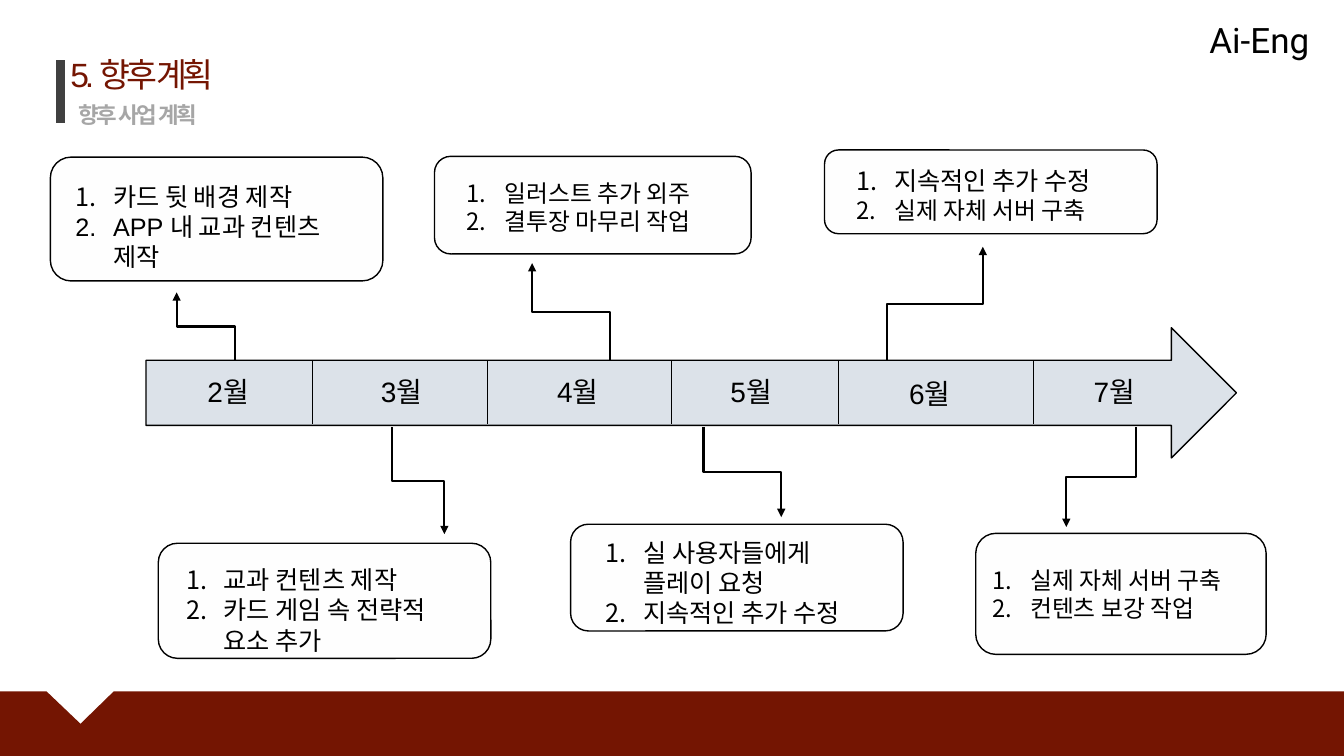
from dataclasses import dataclass

from lxml import etree
from pptx import Presentation
from pptx import util as u
from pptx.dml import color as dml
from pptx.enum import shapes, text
from pptx.oxml import ns

COLORS = {
    "maroon": "741502",
    "black": "000000",
    "bar": "404040",
    "subtitle": "A6A6A6",
    "timeline": "8497B0",
    "card": "F2F2F2",
}
SLIDE_WIDTH, SLIDE_HEIGHT = 33.87, 19.05
SHAFT_TOP, SHAFT_BOTTOM = 9.09, 10.69


@dataclass(frozen=True)
class Area:
    left: float
    top: float
    width: float
    height: float

    def emu(self) -> tuple:
        return tuple(u.Cm(v) for v in (self.left, self.top, self.width, self.height))


@dataclass(frozen=True)
class Line:
    words: str
    size: float
    color: str = "black"
    font: str = "Arial"
    bold: bool = False
    tracking: float = 0
    spacing: float | None = None
    align: text.PP_ALIGN | None = None
    numbered: bool = False


@dataclass(frozen=True)
class Milestone:
    month: str
    month_left: float
    month_top: float
    start: tuple[float, float]
    end: tuple[float, float]
    card: Area
    list_area: Area
    tasks: tuple[tuple[str, float], ...]


MILESTONES = (
    Milestone("2월", 4.98, 9.32, (5.92, 9.09), (4.45, 7.37),
              Area(1.27, 3.96, 8.38, 3.12), Area(1.65, 4.44, 7.11, 2.41),
              (("카드 뒷 배경 제작", 18), ("APP 내 교과 컨텐츠 제작", 18))),
    Milestone("3월", 9.35, 9.32, (9.88, 10.77), (11.2, 13.46),
              Area(3.99, 13.69, 8.38, 2.9), Area(4.44, 14.1, 7.11, 2.41),
              (("교과 컨텐츠 제작", 18), ("카드 게임 속 전략적 요소 추가", 18))),
    Milestone("4월", 13.79, 9.32, (15.37, 9.09), (13.41, 6.63),
              Area(10.95, 3.94, 7.98, 2.46), Area(11.51, 4.37, 6.78, 1.6),
              (("일러스트 추가 외주", 17), ("결투장 마무리 작업", 17))),
    Milestone("5월", 18.16, 9.32, (17.73, 10.77), (19.69, 13.03),
              Area(14.38, 13.21, 8.38, 2.69), Area(15.01, 13.41, 7.11, 2.41),
              (("실 사용자들에게 플레이 요청", 18), ("지속적인 추가 수정", 18))),
    Milestone("6월", 22.66, 9.37, (22.35, 9.09), (24.77, 6.22),
              Area(20.78, 3.78, 8.38, 2.11), Area(21.34, 4.04, 7.11, 1.75),
              (("지속적인 추가 수정", 18), ("실제 자체 서버 구축", 17))),
    Milestone("7월", 27.31, 9.32, (28.63, 10.77), (26.87, 13.28),
              Area(24.59, 13.44, 7.32, 3.05), Area(24.76, 14.12, 7.32, 1.7),
              (("실제 자체 서버 구축", 17), ("컨텐츠 보강 작업", 17))),
)
DIVIDERS = (7.87, 12.29, 16.92, 21.13, 26.04)


def rgb(name: str) -> dml.RGBColor:
    return dml.RGBColor.from_string(COLORS[name])


def add_text(page, area: Area, lines: list[Line], heading: bool = False) -> None:
    frame = page.shapes.add_textbox(*area.emu()).text_frame
    frame.word_wrap = True
    if heading:
        frame.margin_top = frame.margin_bottom = 0
        frame.vertical_anchor = text.MSO_ANCHOR.MIDDLE
    for index, line in enumerate(lines):
        para = frame.paragraphs[0] if index == 0 else frame.add_paragraph()
        para.text = line.words
        para.alignment = line.align
        para.line_spacing = line.spacing
        if line.numbered:
            props = para._p.get_or_add_pPr()
            indent = u.Cm(0.95)
            props.set("marL", str(indent))
            props.set("indent", str(-indent))
            etree.SubElement(props, ns.qn("a:buFont"), typeface="+mj-lt")
            etree.SubElement(props, ns.qn("a:buAutoNum"), type="arabicPeriod")
        font = para.font
        font.name = line.font
        font.size = u.Pt(line.size)
        font.bold = line.bold
        font.color.rgb = rgb(line.color)
        if line.tracking:
            defaults = para._p.pPr.find(ns.qn("a:defRPr"))
            defaults.set("spc", str(round(line.tracking * 100)))
            for span in para.runs:
                span._r.get_or_add_rPr().set("spc", defaults.get("spc"))


def add_panel(page, kind, area: Area, fill: str, opacity: int) -> None:
    panel = page.shapes.add_shape(kind, *area.emu())
    panel.shadow.inherit = False
    panel.fill.solid()
    panel.fill.fore_color.rgb = rgb(fill)
    tint = panel._element.spPr.find(ns.qn("a:solidFill"))[0]
    etree.SubElement(tint, ns.qn("a:alpha"), val=str(opacity * 1000))
    panel.line.color.rgb = rgb("black")
    panel.line.width = u.Pt(1)


def add_line(page, kind, start, end, color: str, width: float):
    line = page.shapes.add_connector(kind, *(u.Cm(v) for v in (*start, *end)))
    line.line.color.rgb = rgb(color)
    line.line.width = u.Pt(width)
    etree.SubElement(line._element.spPr, ns.qn("a:effectLst"))
    return line


def add_elbow(page, start: tuple[float, float], end: tuple[float, float]) -> None:
    (x1, y1), (x2, y2) = start, end
    run, rise = abs(y2 - y1), abs(x2 - x1)
    left, top = (x1 + x2 - run) / 2, (y1 + y2 - rise) / 2
    elbow = add_line(page, shapes.MSO_CONNECTOR.ELBOW, (left, top),
                     (left + run, top + rise), "black", 1.5)
    rightward, downward = x2 > x1, y2 > y1
    frame = elbow._element.spPr.find(ns.qn("a:xfrm"))
    frame.set("rot", str((270 if rightward == downward else 90) * 60000))
    frame.set("flipH", str(int(rightward)))
    frame.set("flipV", str(int(not downward)))
    outline = elbow._element.spPr.find(ns.qn("a:ln"))
    etree.SubElement(outline, ns.qn("a:tailEnd"), type="triangle")


def add_footer(page) -> None:
    top = 17.42
    points = [(1.17, top), (2.03, 18.24), (2.87, top), (SLIDE_WIDTH, top),
              (SLIDE_WIDTH, SLIDE_HEIGHT), (0, SLIDE_HEIGHT)]
    builder = page.shapes.build_freeform(0, u.Cm(top))
    builder.add_line_segments([(u.Cm(x), u.Cm(y)) for x, y in points], close=True)
    footer = builder.convert_to_shape()
    footer.shadow.inherit = False
    footer.fill.solid()
    footer.fill.fore_color.rgb = rgb("maroon")
    footer.line.fill.background()


def add_header(page) -> None:
    add_text(page, Area(30.23, 0.33, 3.3, 1.32), [Line("Ai-Eng", 25, font="Roboto")])
    add_line(page, shapes.MSO_CONNECTOR.STRAIGHT, (1.52, 1.52), (1.52, 3.1), "bar", 6)
    add_text(page, Area(1.73, 2.67, 3.99, 0.56),
             [Line("향후 사업 계획", 16, "subtitle", bold=True, tracking=-1.5,
                   spacing=0.8)], heading=True)
    add_text(page, Area(0.2, 1.55, 6.76, 0.81),
             [Line("5. 향후 계획", 24, "maroon", tracking=-3, spacing=0.8,
                   align=text.PP_ALIGN.CENTER)], heading=True)


def add_timeline(page) -> None:
    add_panel(page, shapes.MSO_SHAPE.RIGHT_ARROW, Area(3.68, 8.26, 27.48, 3.28),
              "timeline", 28)
    for x in DIVIDERS:
        add_line(page, shapes.MSO_CONNECTOR.STRAIGHT, (x, SHAFT_TOP),
                 (x, SHAFT_BOTTOM), "black", 0.5)
    for stone in MILESTONES:
        add_text(page, Area(stone.month_left, stone.month_top, 1.85, 1.04),
                 [Line(stone.month, 20)])
        add_elbow(page, stone.start, stone.end)
        add_panel(page, shapes.MSO_SHAPE.ROUNDED_RECTANGLE, stone.card, "card", 7)
        add_text(page, stone.list_area,
                 [Line(task, size, numbered=True) for task, size in stone.tasks])


def main() -> None:
    deck = Presentation()
    deck.slide_width, deck.slide_height = u.Cm(SLIDE_WIDTH), u.Cm(SLIDE_HEIGHT)
    page = deck.slides.add_slide(deck.slide_layouts[6])
    add_footer(page)
    add_header(page)
    add_timeline(page)
    deck.save("out.pptx")


if __name__ == "__main__":
    main()
